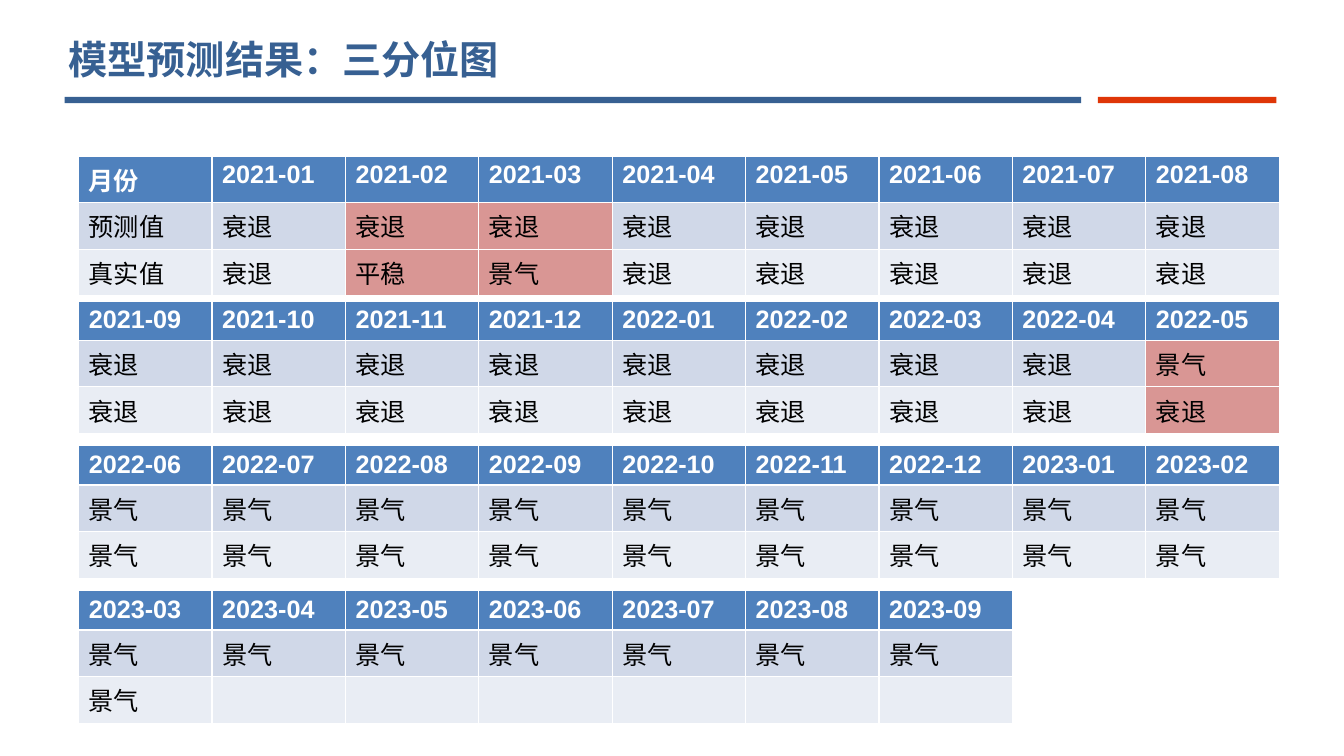
from dataclasses import dataclass

from pptx import Presentation
from pptx.dml.color import RGBColor
from pptx.enum.shapes import MSO_SHAPE
from pptx.enum.text import MSO_ANCHOR, PP_ALIGN
from pptx.oxml.ns import qn
from pptx.util import Pt

RECT = MSO_SHAPE.RECTANGLE
MIDDLE = MSO_ANCHOR.MIDDLE
LEFT = PP_ALIGN.LEFT


@dataclass(frozen=True)
class Theme:
    """Colours, fonts and type sizes of the slide."""
    title: str = "376092"
    accent: str = "DF3607"
    header: str = "4F81BD"
    predicted: str = "D0D8E8"
    actual: str = "E9EDF4"
    miss: str = "D99694"
    white: str = "FFFFFF"
    black: str = "000000"
    latin: str = "Arial"
    cjk: str = "Noto Sans CJK SC"
    title_size: int = 28
    cell_size: int = 18


THEME = Theme()
COLUMNS = 9
COLUMN_WIDTH = 95.28
HEADER_HEIGHT = 28
BODY_HEIGHT = 33.3
TABLE_PITCH = 103.5

MONTHS = [f"{2021 + i // 12}-{i % 12 + 1:02}" for i in range(33)]
PREDICTED = ["衰退"] * 16 + ["景气"] * 17
ACTUAL = ["衰退", "平稳", "景气"] + ["衰退"] * 14 + ["景气"] * 10 + [""] * 6
LABELS = ("月份", "预测值", "真实值")


def write(tf, text, size, color, font, bold=False):
    """Write one left-aligned line of formatted text."""
    p = tf.paragraphs[0]
    p.alignment = LEFT
    r = p.add_run()
    r.text = text
    r.font.size = Pt(size)
    r.font.bold = bold
    r.font.name = font
    r.font.color.rgb = RGBColor.from_string(color)
    ea = r.font._element.makeelement(qn("a:ea"), {"typeface": THEME.cjk})
    r.font._element.append(ea)


def add_bar(s, x, y, w, h, color):
    """Draw a plain filled bar."""
    sp = s.shapes.add_shape(RECT, Pt(x), Pt(y), Pt(w), Pt(h))
    sp.shadow.inherit = False
    sp.fill.solid()
    sp.fill.fore_color.rgb = RGBColor.from_string(color)
    sp.line.fill.background()


def add_heading(s, x, y, w, h, text):
    """Place the title and the two-colour rule beneath it."""
    title = s.shapes.title
    title.left, title.top, title.width, title.height = Pt(x), Pt(y), Pt(w), Pt(h)
    title.text_frame.vertical_anchor = MIDDLE
    write(title.text_frame, text, THEME.title_size, THEME.title, THEME.latin, bold=True)
    add_bar(s, x + 4.5, y + 50.5, 726, 4.5, THEME.title)
    add_bar(s, x + 742.5, y + 50.5, 127.5, 4.5, THEME.accent)


def fill_cell(cell, text, fill, color, font, bold=False):
    """Colour one cell and write its text."""
    cell.fill.solid()
    cell.fill.fore_color.rgb = RGBColor.from_string(fill)
    if text:
        write(cell.text_frame, text, THEME.cell_size, color, font, bold)


def add_forecast_table(s, x, y, records):
    """Lay out records as columns of month, predicted and actual state."""
    width = COLUMN_WIDTH * len(records)
    height = HEADER_HEIGHT + 2 * BODY_HEIGHT
    table = s.shapes.add_table(3, len(records), Pt(x), Pt(y), Pt(width), Pt(height)).table
    for row, row_height in zip(table.rows, (HEADER_HEIGHT, BODY_HEIGHT, BODY_HEIGHT)):
        row.height = Pt(row_height)
    for col, record in enumerate(records):
        table.columns[col].width = Pt(COLUMN_WIDTH)
        month, predicted, actual = record
        missed = record != LABELS and actual and predicted != actual
        fill_cell(table.cell(0, col), month, THEME.header, THEME.white, THEME.latin, bold=True)
        for row, text, fill in ((1, predicted, THEME.predicted), (2, actual, THEME.actual)):
            fill_cell(table.cell(row, col), text, THEME.miss if missed else fill,
                      THEME.black, THEME.cjk)


def add_forecast_tables(s, x, y):
    """Stack the monthly records in tables of equal pitch."""
    records = [LABELS, *zip(MONTHS, PREDICTED, ACTUAL)]
    for i, start in enumerate(range(0, len(records), COLUMNS)):
        add_forecast_table(s, x, y + i * TABLE_PITCH, records[start:start + COLUMNS])


def main():
    """Build and save the slide."""
    prs = Presentation()
    prs.slide_width, prs.slide_height = Pt(960), Pt(540)
    s = prs.slides.add_slide(prs.slide_layouts[5])
    add_heading(s, 41.75, 18.75, 812, 46.8, "模型预测结果：三分位图")
    add_forecast_tables(s, 56.2, 111.5)
    prs.save("out.pptx")


if __name__ == "__main__":
    main()
